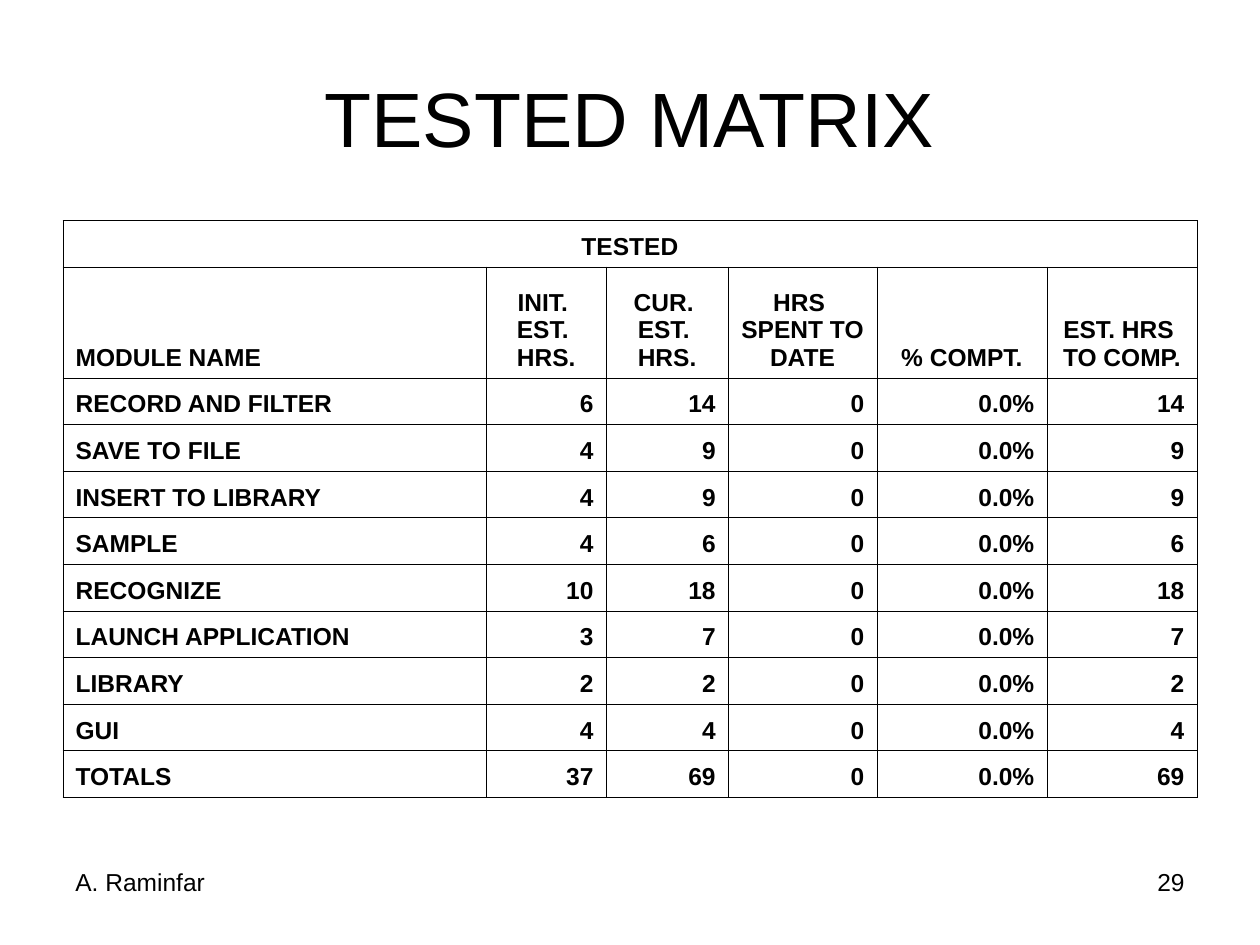
from lxml import etree
from pptx import Presentation
from pptx.dml.color import RGBColor
from pptx.enum import text
from pptx.oxml import ns
from pptx.util import Inches, Pt

BLACK = "000000"
LEFT, CENTER, RIGHT = text.PP_ALIGN.LEFT, text.PP_ALIGN.CENTER, text.PP_ALIGN.RIGHT
COLUMN_WIDTHS = [3.36, 0.95, 0.97, 1.18, 1.35, 1.19]
ROW_HEIGHT, HEADER_HEIGHT = 0.37, 0.88
HEADERS = ["MODULE NAME", "INIT. \nEST. \nHRS.", "CUR. \nEST. \nHRS.",
           "HRS \nSPENT TO \nDATE", "% COMPT.", "EST. HRS \nTO COMP."]
MODULES = [
    ("RECORD AND FILTER", 6, 14, 0),
    ("SAVE TO FILE", 4, 9, 0),
    ("INSERT TO LIBRARY", 4, 9, 0),
    ("SAMPLE", 4, 6, 0),
    ("RECOGNIZE", 10, 18, 0),
    ("LAUNCH APPLICATION", 3, 7, 0),
    ("LIBRARY", 2, 2, 0),
    ("GUI", 4, 4, 0),
]


def color(value):
    return RGBColor.from_string(value)


def write(frame, content, size, align, bold=False):
    frame.text = content
    for para in frame.paragraphs:
        para.alignment = align
        para.font.name = "Arial"
        para.font.size = Pt(size)
        para.font.bold = bold
        para.font.color.rgb = color(BLACK)


def add_title(page, content):
    title = page.shapes.title
    title.left, title.top = Inches(0.5), Inches(0.3)
    title.width, title.height = Inches(9), Inches(1.25)
    title.text_frame.vertical_anchor = text.MSO_ANCHOR.MIDDLE
    write(title.text_frame, content, 44, CENTER)


def add_footer(page, left, content, align):
    box = page.shapes.add_textbox(Inches(left), Inches(6.83), Inches(2.33), Inches(0.52))
    box.text_frame.word_wrap = True
    write(box.text_frame, content, 14, align)


def add_borders(cell):
    properties = cell._tc.get_or_add_tcPr()
    for position, side in enumerate(("lnL", "lnR", "lnT", "lnB")):
        line = etree.Element(ns.qn(f"a:{side}"), w=str(Pt(0.45)))
        fill = etree.SubElement(line, ns.qn("a:solidFill"))
        etree.SubElement(fill, ns.qn("a:srgbClr"), val=BLACK)
        properties.insert(position, line)


def hang_indent(para):
    properties = para._p.get_or_add_pPr()
    properties.set("marL", str(Inches(0.38)))
    properties.set("indent", str(Inches(-0.38)))


def fill_cell(cell, content, align):
    cell.margin_left = cell.margin_right = Inches(0.1)
    cell.margin_top = cell.margin_bottom = Inches(0.05)
    cell.vertical_anchor = text.MSO_ANCHOR.BOTTOM
    cell.fill.background()
    add_borders(cell)
    write(cell.text_frame, content, 14, align, bold=True)
    for para in cell.text_frame.paragraphs:
        hang_indent(para)


def matrix_rows():
    totals = ("TOTALS", *(sum(hours) for hours in list(zip(*MODULES))[1:]))
    rows = [["TESTED"] + [""] * 5, HEADERS]
    for name, initial, current, spent in MODULES + [totals]:
        rows.append([name, str(initial), str(current), str(spent),
                     f"{spent / current:.1%}", str(current - spent)])
    return rows


def cell_align(row, column):
    if row == 0:
        return CENTER
    if column == 0:
        return LEFT
    return CENTER if row == 1 else RIGHT


def add_matrix(page):
    rows = matrix_rows()
    heights = [ROW_HEIGHT] * len(rows)
    heights[1] = HEADER_HEIGHT
    table = page.shapes.add_table(
        len(rows), len(COLUMN_WIDTHS), Inches(0.5), Inches(1.75),
        Inches(sum(COLUMN_WIDTHS)), Inches(sum(heights))).table
    table.first_row = table.horz_banding = False
    for column, width in zip(table.columns, COLUMN_WIDTHS):
        column.width = Inches(width)
    for row, height in zip(table.rows, heights):
        row.height = Inches(height)
    for row, values in enumerate(rows):
        for column, value in enumerate(values):
            fill_cell(table.cell(row, column), value, cell_align(row, column))
    table.cell(0, 0).merge(table.cell(0, len(COLUMN_WIDTHS) - 1))


def main():
    deck = Presentation()
    deck.slide_width, deck.slide_height = Inches(10), Inches(7.5)
    page = deck.slides.add_slide(deck.slide_layouts[5])
    add_title(page, "TESTED MATRIX")
    add_matrix(page)
    add_footer(page, 7.17, "29", RIGHT)
    add_footer(page, 0.5, "A. Raminfar", LEFT)
    deck.save("out.pptx")


if __name__ == "__main__":
    main()
